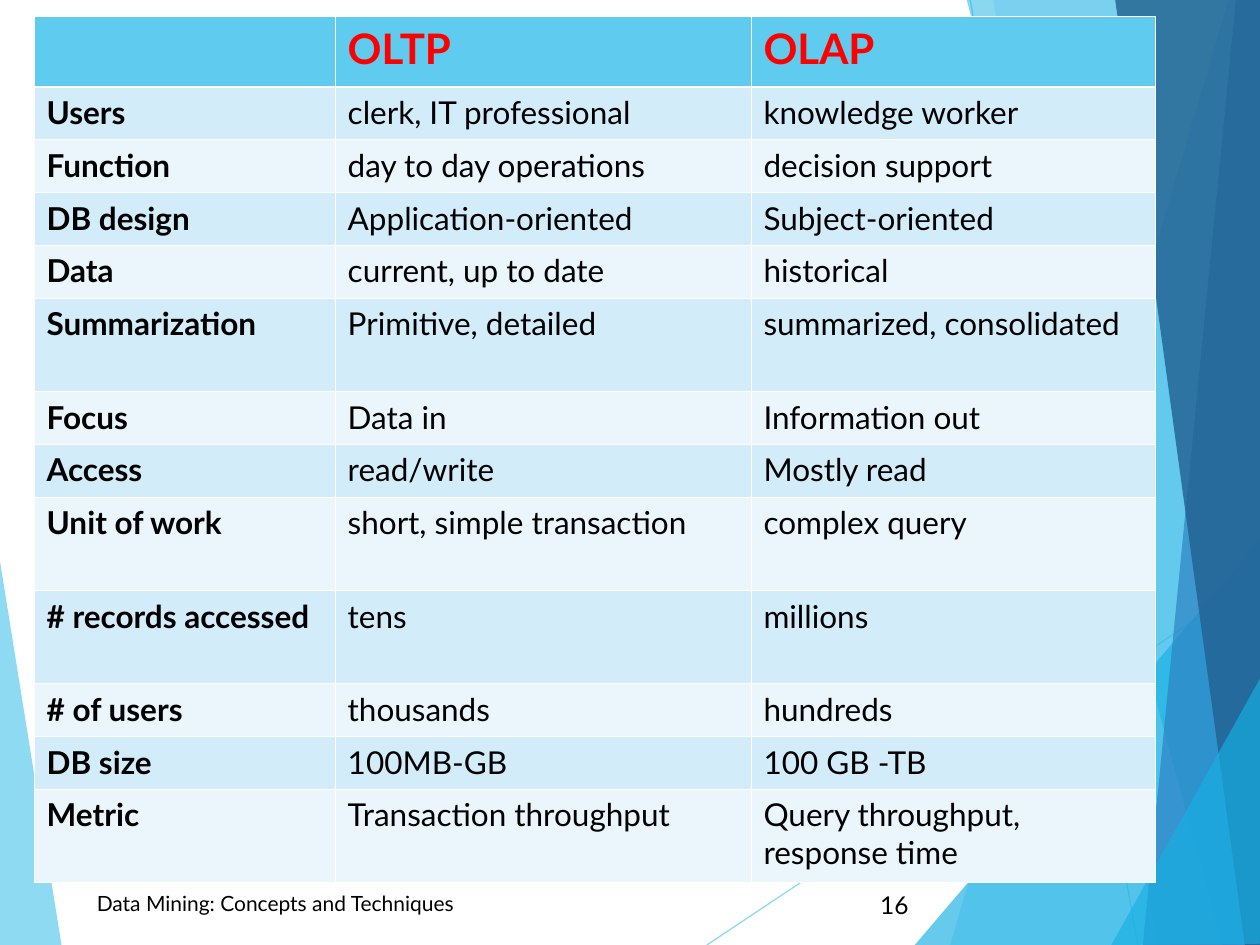
from lxml import etree
from pptx import Presentation
from pptx.dml.color import RGBColor
from pptx.enum.shapes import MSO_CONNECTOR
from pptx.enum.text import MSO_ANCHOR, PP_ALIGN
from pptx.oxml.ns import qn
from pptx.util import Inches, Pt

FONT = "Lato"
BLACK = RGBColor(0x00, 0x00, 0x00)
WHITE = RGBColor(0xFF, 0xFF, 0xFF)
RED = RGBColor(0xFF, 0x00, 0x00)
SKY = RGBColor(0x5F, 0xCB, 0xEF)
CYAN = RGBColor(0x17, 0xB0, 0xE4)
BLUE = RGBColor(0x2E, 0x83, 0xC3)
NAVY = RGBColor(0x23, 0x62, 0x92)
BAND_DARK = RGBColor(0xD2, 0xEC, 0xF9)
BAND_LIGHT = RGBColor(0xEA, 0xF6, 0xFC)

LEFT_FACET = ([(-0.01, 4.39), (0.49, 7.51), (-0.01, 7.5)], SKY, 70)
RAYS = [((5.61, 7.5), (10.01, 4.57)), ((7.7, 0), (9.03, 7.5))]
RIGHT_FACETS = [
    ([(9.75, 0), (7.54, 7.5), (10.02, 7.51), (10.01, 0.01)], SKY, 36),
    ([(7.88, -0.01), (9.19, 7.5), (10.01, 7.5), (10.01, -0.01)], SKY, 20),
    ([(7.26, 7.5), (10, 4.29), (10.01, 7.5)], CYAN, 66),
    ([(7.67, -0.01), (9.7, 7.5), (10.01, 7.49), (10.01, -0.01)], CYAN, 50),
    ([(9.81, -0.01), (9.07, 7.5), (10.01, 7.5), (10, -0.01)], BLUE, 70),
    ([(8.85, -0.01), (9.88, 7.5), (10.02, 7.5), (10, -0.01)], NAVY, 82),
    ([(8.82, 7.5), (10.02, 5.35), (10.02, 7.49)], CYAN, 66),
]

COL_WIDTHS = [2.39, 3.3, 3.21]
HEADER_H, ROW_H, TALL_H = 0.56, 0.42, 0.74
TALL_ROWS = {"Summarization", "Unit of work", "# records accessed", "Metric"}
ROWS = [
    ("", "OLTP", "OLAP"),
    ("Users", "clerk, IT professional", "knowledge worker"),
    ("Function", "day to day operations", "decision support"),
    ("DB design", "Application-oriented", "Subject-oriented"),
    ("Data", "current, up to date", "historical"),
    ("Summarization", "Primitive, detailed", "summarized, consolidated"),
    ("Focus", "Data in", "Information out"),
    ("Access", "read/write", "Mostly read"),
    ("Unit of work", "short, simple transaction", "complex query"),
    ("# records accessed", "tens", "millions"),
    ("# of users", "thousands", "hundreds"),
    ("DB size", "100MB-GB", "100 GB -TB"),
    ("Metric", "Transaction throughput", "Query throughput, response time"),
]


def set_alpha(fill, percent):
    for color in fill._xPr.iter(qn("a:srgbClr")):
        etree.SubElement(color, qn("a:alpha"), val=str(percent * 1000))


def add_run(p, text, size, color=BLACK, bold=False):
    r = p.add_run()
    r.text = text
    r.font.name = FONT
    r.font.size = Pt(size)
    r.font.bold = bold
    r.font.color.rgb = color


def add_facet(s, left, top, points, color, alpha):
    corners = [(left + Inches(x), top + Inches(y)) for x, y in points]
    builder = s.shapes.build_freeform(*corners[0])
    builder.add_line_segments(corners[1:], close=True)
    sp = builder.convert_to_shape()
    sp.shadow.inherit = False
    sp.fill.solid()
    sp.fill.fore_color.rgb = color
    set_alpha(sp.fill, alpha)
    sp.line.fill.background()


def add_ray(s, left, top, start, end):
    (x1, y1), (x2, y2) = start, end
    line = s.shapes.add_connector(
        MSO_CONNECTOR.STRAIGHT,
        left + Inches(x1), top + Inches(y1), left + Inches(x2), top + Inches(y2))
    line.line.color.rgb = SKY
    line.line.width = Pt(0.75)
    set_alpha(line.line.fill, 70)
    etree.SubElement(line._element.spPr, qn("a:effectLst"))


def add_backdrop(s, left, top):
    add_facet(s, left, top, *LEFT_FACET)
    for start, end in RAYS:
        add_ray(s, left, top, start, end)
    for facet in RIGHT_FACETS:
        add_facet(s, left, top, *facet)


def add_footer_text(s, left, top, width, height, text, size, align):
    tf = s.shapes.add_textbox(left, top, width, height).text_frame
    tf.word_wrap = True
    tf.vertical_anchor = MSO_ANCHOR.MIDDLE
    p = tf.paragraphs[0]
    p.alignment = align
    add_run(p, text, size)


def set_borders(cell, row):
    widths = {"L": 0.45, "R": 0.45,
              "T": 1.47 if row == 1 else 0.45, "B": 1.47 if row == 0 else 0.45}
    tc_pr = cell._tc.get_or_add_tcPr()
    for side, width in widths.items():
        ln = etree.SubElement(tc_pr, qn(f"a:ln{side}"), w=str(Pt(width)))
        solid = etree.SubElement(ln, qn("a:solidFill"))
        etree.SubElement(solid, qn("a:srgbClr"), val=str(WHITE))


def row_height(row, label):
    if row == 0:
        return HEADER_H
    return TALL_H if label in TALL_ROWS else ROW_H


def add_comparison(s, left, top, width, height):
    table = s.shapes.add_table(
        len(ROWS), len(COL_WIDTHS), left, top, width, height).table
    for column, col_width in zip(table.columns, COL_WIDTHS):
        column.width = Inches(col_width)
    for i, texts in enumerate(ROWS):
        table.rows[i].height = Inches(row_height(i, texts[0]))
        band = SKY if i == 0 else BAND_DARK if i % 2 else BAND_LIGHT
        for j, text in enumerate(texts):
            cell = table.cell(i, j)
            set_borders(cell, i)
            cell.fill.solid()
            cell.fill.fore_color.rgb = band
            if not text:
                continue
            p = cell.text_frame.paragraphs[0]
            if i == 0:
                add_run(p, text, 24, RED, True)
            else:
                add_run(p, text, 18, bold=j == 0)


def main():
    prs = Presentation()
    prs.slide_width, prs.slide_height = Inches(10), Inches(7.5)
    s = prs.slides.add_slide(prs.slide_layouts[6])
    add_backdrop(s, Inches(0), Inches(0))
    add_footer_text(s, Inches(0.67), Inches(6.97), Inches(5.06), Inches(0.4),
                    "Data Mining: Concepts and Techniques", 12, PP_ALIGN.LEFT)
    add_footer_text(s, Inches(6.75), Inches(6.98), Inches(0.56), Inches(0.4),
                    "16", 14, PP_ALIGN.RIGHT)
    add_comparison(s, Inches(0.27), Inches(0.13), Inches(8.9), Inches(6.88))
    prs.save("out.pptx")


if __name__ == "__main__":
    main()
